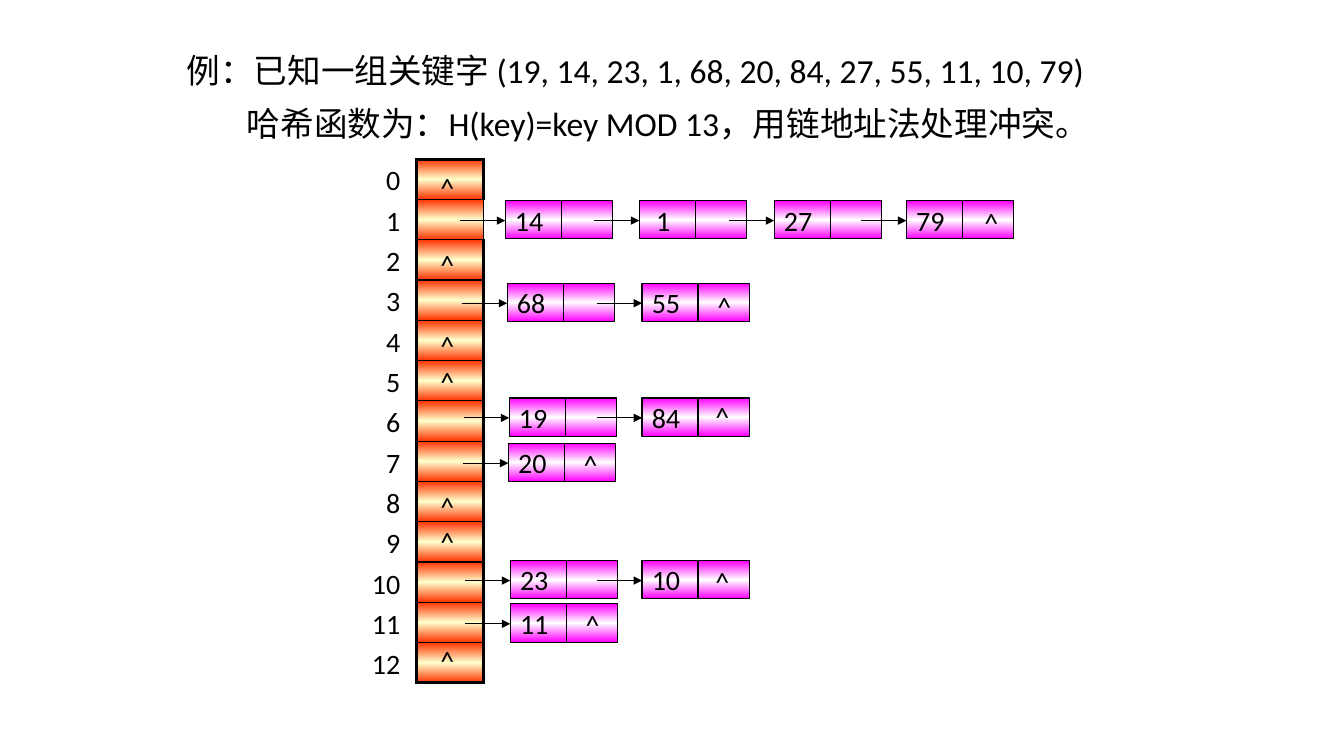
from copy import deepcopy

from lxml.etree import SubElement
from pptx import Presentation
from pptx.dml.color import RGBColor
from pptx.enum.shapes import MSO_CONNECTOR, MSO_SHAPE
from pptx.enum.text import MSO_ANCHOR, MSO_AUTO_SIZE, PP_ALIGN
from pptx.oxml import parse_xml
from pptx.oxml.ns import nsdecls, qn
from pptx.util import Cm, Pt

BLACK = RGBColor(0x00, 0x00, 0x00)
ORANGE = RGBColor(0xFF, 0x33, 0x00)
CREAM = RGBColor(0xFF, 0xFF, 0xCC)
MAGENTA = RGBColor(0xFF, 0x00, 0xFF)
WHITE = RGBColor(0xFF, 0xFF, 0xFF)

HEADING = ("例：已知一组关键字 (19, 14, 23, 1, 68, 20, 84, 27, 55, 11, 10, 79)",
           "哈希函数为：H(key)=key MOD 13，用链地址法处理冲突。")
BUCKETS = 13
TABLE_LEFT, TABLE_TOP, TABLE_WIDTH, TABLE_HEIGHT = 10.49, 4.01, 1.7, 13.2
NODE_WIDTH, NODE_HEIGHT, KEY_WIDTH = 2.7, 0.96, 1.41
ARROW_LENGTH, ARROW_DROP = 1.14, 0.5

# Tops of the end marks beside the empty buckets
EMPTY_MARK_TOPS = (4.17, 6.12, 8.15, 9.07, 12.22, 13.08, 16.08)

# Top of each chain, its (key, left) nodes, and the place of its end mark
CHAINS = (
    (5.06, (("14", 12.73), ("1", 16.11), ("27", 19.51), ("79", 22.84)), (24.56, 5.06)),
    (7.14, (("68", 12.78), ("55", 16.18)), (17.83, 7.17)),
    (10.03, (("19", 12.83), ("84", 16.18)), (17.78, 9.95)),
    (11.17, (("20", 12.81),), (14.46, 11.15)),
    (14.13, (("23", 12.86), ("10", 16.18)), (17.78, 14.1)),
    (15.22, (("11", 12.86),), (14.51, 15.19)),
)


class HashSlide:
    font_name = "Calibri"
    body_size = Pt(20)
    heading_size = Pt(24)
    thin, medium, thick = Pt(0.75), Pt(1), Pt(2.25)

    def __init__(self, deck):
        self.page = deck.slides.add_slide(deck.slide_layouts[5])

    def style(self, para, size, align=PP_ALIGN.LEFT):
        para.alignment = align
        for span in para.runs:
            span.font.name = self.font_name
            span.font.size = size
            span.font.color.rgb = BLACK

    def shade(self, fill, element, edge, middle):
        """Vertical gradient from edge to middle and back."""
        fill.gradient()
        fill.gradient_angle = 270
        stop_list = element.xpath(".//a:gsLst")[0]
        stop_list.append(deepcopy(stop_list[0]))
        stops = zip(fill.gradient_stops, (0, 0.5, 1), (edge, middle, edge))
        for stop, position, color in stops:
            stop.position = position
            stop.color.rgb = color

    def heading(self, left, top, width, height, lines):
        title = self.page.shapes.title
        title.left, title.top = Cm(left), Cm(top)
        title.width, title.height = Cm(width), Cm(height)
        frame = title.text_frame
        frame.text = "\n".join(lines)
        frame.word_wrap = False
        frame.auto_size = MSO_AUTO_SIZE.NONE
        frame.vertical_anchor = MSO_ANCHOR.TOP
        for para in frame.paragraphs:
            self.style(para, self.heading_size)
        second = frame.paragraphs[1]
        second.line_spacing = 1.3
        second._p.get_or_add_pPr().set("marL", str(Cm(1.52)))

    def text(self, left, top, width, height, content, align=PP_ALIGN.LEFT, spacing=1.0):
        box = self.page.shapes.add_textbox(Cm(left), Cm(top), Cm(width), Cm(height))
        frame = box.text_frame
        frame.word_wrap = True
        frame.text = content
        for para in frame.paragraphs:
            para.line_spacing = spacing
            self.style(para, self.body_size, align)

    def end_mark(self, left, top):
        self.text(left, top, 0.86, 1.11, "^")

    def bucket_table(self):
        frame = self.page.shapes.add_table(BUCKETS, 1, Cm(TABLE_LEFT), Cm(TABLE_TOP),
                                           Cm(TABLE_WIDTH), Cm(TABLE_HEIGHT))
        table = frame.table
        table.first_row = table.horz_banding = False
        for index in range(BUCKETS):
            cell = table.cell(index, 0)
            cell.margin_top = cell.margin_bottom = 0
            self.shade(cell.fill, cell._tc, ORANGE, CREAM)
            self.borders(cell, {
                "lnL": self.thick,
                "lnR": self.medium if index == 1 else self.thick,
                "lnT": self.thick if index == 0 else self.medium,
                "lnB": self.thick if index == BUCKETS - 1 else self.medium,
            })

    def borders(self, cell, widths):
        properties = cell._tc.get_or_add_tcPr()
        for place, (side, width) in enumerate(widths.items()):
            properties.insert(place, parse_xml(
                f'<a:{side} {nsdecls("a")} w="{width}"><a:solidFill>'
                f'<a:srgbClr val="{BLACK}"/></a:solidFill></a:{side}>'))

    def line(self, start_x, start_y, end_x, end_y, arrow=False):
        connector = self.page.shapes.add_connector(
            MSO_CONNECTOR.STRAIGHT, Cm(start_x), Cm(start_y), Cm(end_x), Cm(end_y))
        connector.line.color.rgb = BLACK
        connector.line.width = self.thin
        if arrow:
            SubElement(connector.line._get_or_add_ln(), qn("a:tailEnd"), type="triangle")
        SubElement(connector._element.spPr, qn("a:effectLst"))

    def node(self, left, top, key):
        """A key with its pointer cell and the arrow that leads to it."""
        box = self.page.shapes.add_shape(MSO_SHAPE.RECTANGLE, Cm(left), Cm(top),
                                         Cm(NODE_WIDTH), Cm(NODE_HEIGHT))
        box.shadow.inherit = False
        self.shade(box.fill, box._element, MAGENTA, WHITE)
        box.line.color.rgb = BLACK
        box.line.width = self.thin
        frame = box.text_frame
        frame.text = key
        frame.margin_left, frame.margin_right = 0, Cm(1.49)
        frame.vertical_anchor = MSO_ANCHOR.MIDDLE
        self.style(frame.paragraphs[0], self.body_size, PP_ALIGN.CENTER)
        divider = left + KEY_WIDTH
        self.line(divider, top, divider, top + NODE_HEIGHT)
        arrow_y = top + ARROW_DROP
        self.line(left - ARROW_LENGTH, arrow_y, left, arrow_y, arrow=True)


def main():
    deck = Presentation()
    deck.slide_width, deck.slide_height = Cm(33.87), Cm(19.05)
    slide = HashSlide(deck)
    slide.heading(4.45, 1.14, 23.85, 2.51, HEADING)
    slide.text(8.4, 3.81, 1.94, 13.44, "\n".join(map(str, range(BUCKETS))),
               PP_ALIGN.RIGHT, 1.2)
    slide.bucket_table()
    for top in EMPTY_MARK_TOPS:
        slide.end_mark(10.85, top)
    for top, nodes, mark in CHAINS:
        for key, left in nodes:
            slide.node(left, top, key)
        slide.end_mark(*mark)
    deck.save("out.pptx")


if __name__ == "__main__":
    main()
